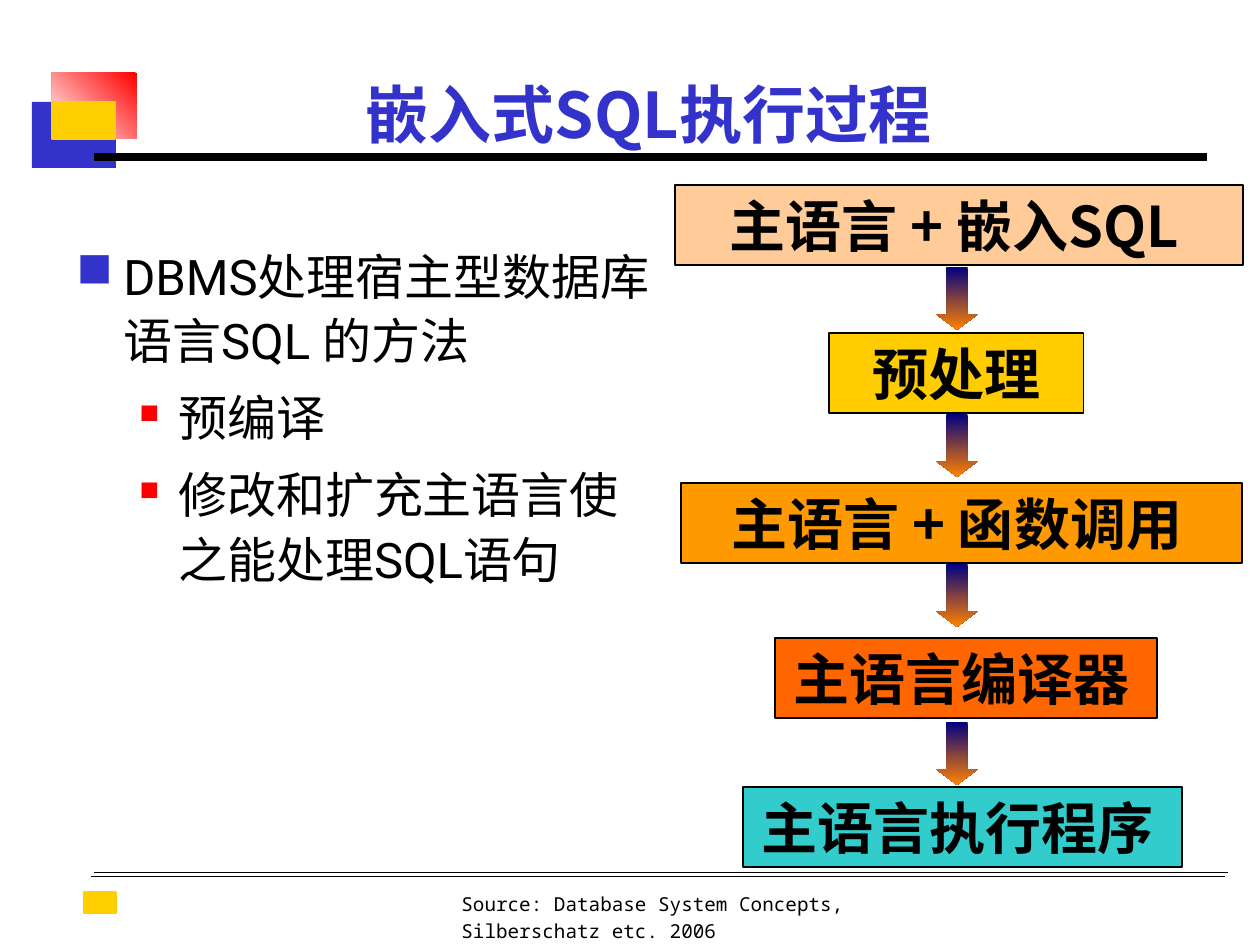
from dataclasses import dataclass

from lxml import etree
from pptx import Presentation
from pptx.dml.color import RGBColor
from pptx.enum.shapes import MSO_CONNECTOR, MSO_SHAPE
from pptx.enum.text import MSO_ANCHOR, PP_ALIGN
from pptx.oxml.ns import qn
from pptx.util import Pt

PX = 914400 // 126
RECTANGLE, DOWN_ARROW = MSO_SHAPE.RECTANGLE, MSO_SHAPE.DOWN_ARROW
STRAIGHT = MSO_CONNECTOR.STRAIGHT
LEFT, CENTER = PP_ALIGN.LEFT, PP_ALIGN.CENTER
TOP, BOTTOM = MSO_ANCHOR.TOP, MSO_ANCHOR.BOTTOM


@dataclass(frozen=True)
class Theme:
    blue: str = "3333CC"
    red: str = "FF0000"
    white: str = "FFFFFF"
    yellow: str = "FFCF01"
    black: str = "000000"
    arrow_start: str = "000082"
    arrow_end: str = "FF8200"
    heading_font: str = "Noto Sans CJK SC"
    body_font: str = "Roboto"
    source_font: str = "Noto Sans Mono"
    title_size: int = 36
    step_size: int = 32
    body_size: int = 28
    space_size: int = 24
    source_size: int = 11


THEME = Theme()

# Content
TITLE = "嵌入式SQL执行过程"
SOURCE = "Source: Database System Concepts, Silberschatz etc. 2006"
BULLETS = [  # level, text
    (0, "DBMS处理宿主型数据库语言SQL 的方法"),
    (1, "预编译"),
    (1, "修改和扩充主语言使之能处理SQL语句"),
]
BULLET_STYLES = [  # left margin px, hanging indent px, colour, size %
    (47, 47, THEME.blue, 100),
    (102, 39, THEME.red, 55),
]
STEPS = [  # text, trailing small space, left, top, width, fill
    ("主语言 + 嵌入SQL", " ", 675, 185, 568, "FFCC99"),
    (" 预处理 ", "", 829, 333, 255, "FFCC00"),
    ("主语言 + 函数调用", " ", 681, 483, 561, "FF9900"),
    ("主语言编译器", " ", 775, 638, 382, "FF6600"),
    ("主语言执行程序", " ", 743, 787, 439, "33CCCC"),
]
STEP_HEIGHT = 80
ARROW_LEFT, ARROW_WIDTH, ARROW_HEIGHT = 936, 42, 63
ARROW_TOPS = [267, 414, 564, 722]
RULES = [  # left, right, y, width pt
    (94, 1228, 872, 0.5),
    (94, 1207, 157, 4.5),
    (91, 1225, 876, 0.5),
]

deck = Presentation()
deck.slide_width, deck.slide_height = 1260 * PX, 945 * PX
page = deck.slides.add_slide(deck.slide_layouts[6])


def colour(value):
    return RGBColor.from_string(value)


def add_block(kind, place, fill=None, line=None, gradient=None):
    shape = page.shapes.add_shape(kind, *(value * PX for value in place))
    shape.shadow.inherit = False
    if gradient:
        first, last, angle = gradient
        shape.fill.gradient()
        shape.fill.gradient_angle = angle
        for stop, value in zip(shape.fill.gradient_stops, (first, last)):
            stop.color.rgb = colour(value)
    else:
        shape.fill.solid()
        shape.fill.fore_color.rgb = colour(fill)
    if line:
        shape.line.color.rgb = colour(line)
        shape.line.width = Pt(0.75)
    else:
        shape.line.fill.background()
    return shape


def add_text_box(place, anchor=TOP):
    box = page.shapes.add_textbox(*(value * PX for value in place))
    box.text_frame.word_wrap = True
    box.text_frame.vertical_anchor = anchor
    return box.text_frame


def add_span(para, text, size, font, ink=THEME.black, bold=False):
    span = para.add_run()
    span.text = text
    span.font.size = Pt(size)
    span.font.bold = bold
    span.font.color.rgb = colour(ink)
    span.font.name = font
    east_asian = etree.SubElement(span.font._element, qn("a:ea"))
    east_asian.set("typeface", THEME.heading_font)


def add_bullet(para, level):
    margin, hanging, ink, percent = BULLET_STYLES[level]
    properties = para._p.get_or_add_pPr()
    properties.set("marL", str(margin * PX))
    properties.set("indent", str(-hanging * PX))
    paint = etree.SubElement(properties, qn("a:buClr"))
    etree.SubElement(paint, qn("a:srgbClr")).set("val", ink)
    etree.SubElement(properties, qn("a:buSzPct")).set("val", str(percent * 1000))
    etree.SubElement(properties, qn("a:buChar")).set("char", "■")


# Source line
para = add_text_box((449, 881, 548, 68)).paragraphs[0]
para.line_spacing = 1.2
add_span(para, SOURCE, THEME.source_size, THEME.source_font)

# Corner ornament and footer mark
add_block(RECTANGLE, (32, 102, 84, 66), THEME.blue)
add_block(RECTANGLE, (52, 73, 85, 66), gradient=(THEME.red, THEME.white, 225))
add_block(RECTANGLE, (52, 102, 63, 37), THEME.yellow, THEME.yellow)
add_block(RECTANGLE, (84, 892, 32, 21), THEME.yellow, THEME.yellow)

# Rules
for left, right, y, width in RULES:
    rule = page.shapes.add_connector(STRAIGHT, left * PX, y * PX, right * PX, y * PX)
    rule.line.color.rgb = colour(THEME.black)
    rule.line.width = Pt(width)
    etree.SubElement(rule._element.spPr, qn("a:effectLst"))

# Title
para = add_text_box((147, 63, 1003, 94), BOTTOM).paragraphs[0]
para.alignment = CENTER
add_span(para, TITLE, THEME.title_size, THEME.heading_font, THEME.blue, True)

# Flow steps
for text, tail, left, top, width, fill in STEPS:
    step = add_block(RECTANGLE, (left, top, width, STEP_HEIGHT), fill, THEME.black)
    step.text_frame.word_wrap = False
    step.text_frame.vertical_anchor = TOP
    para = step.text_frame.paragraphs[0]
    para.alignment = CENTER
    add_span(para, text, THEME.step_size, THEME.heading_font, bold=True)
    if tail:
        add_span(para, tail, THEME.space_size, THEME.heading_font)

# Flow arrows
for top in ARROW_TOPS:
    arrow = add_block(DOWN_ARROW, (ARROW_LEFT, top, ARROW_WIDTH, ARROW_HEIGHT),
                      gradient=(THEME.arrow_start, THEME.arrow_end, 270))
    arrow.adjustments[0], arrow.adjustments[1] = 0.5, 0.375

# Bullet list
frame = add_text_box((64, 234, 605, 486))
for index, (level, text) in enumerate(BULLETS):
    para = frame.add_paragraph() if index else frame.paragraphs[0]
    add_bullet(para, level)
    para.alignment = LEFT
    para.level = level
    para.line_spacing = 1.1
    para.space_before = Pt(7 if index else 0)
    add_span(para, text, THEME.body_size, THEME.body_font)

deck.save("out.pptx")
